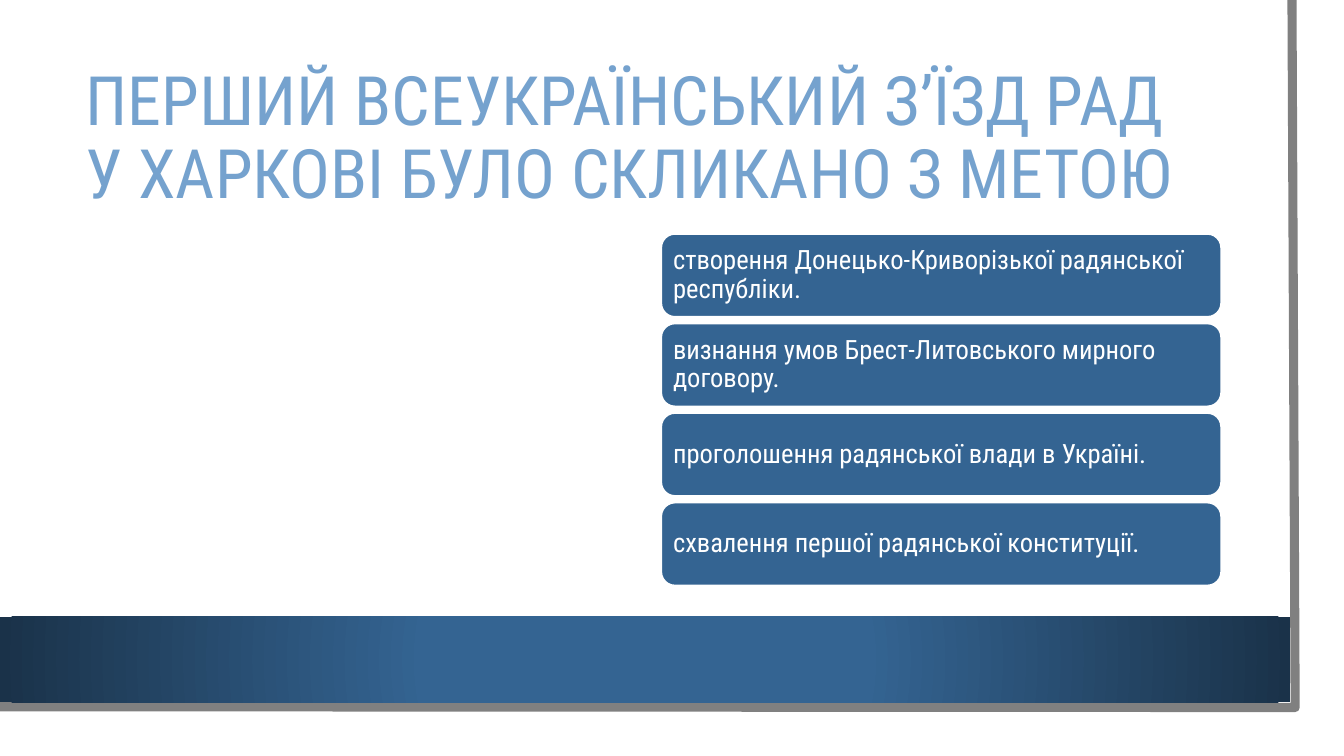
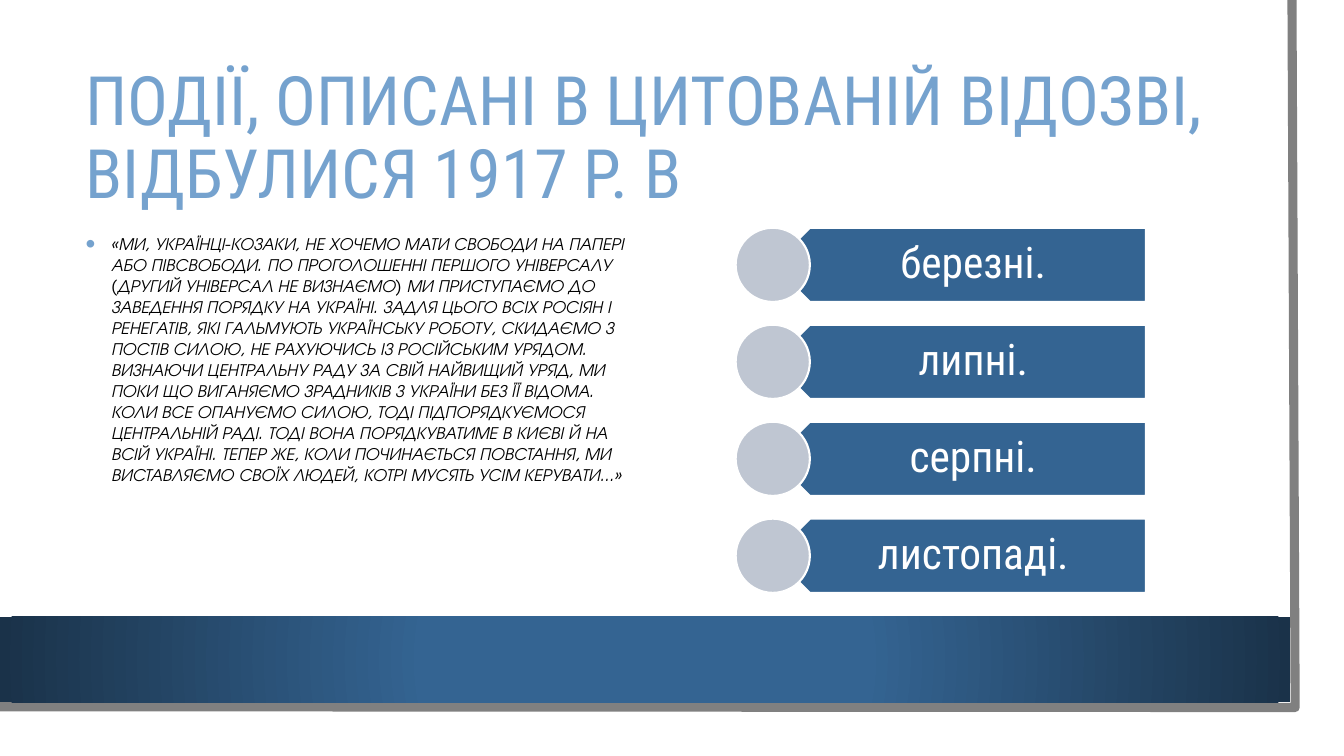
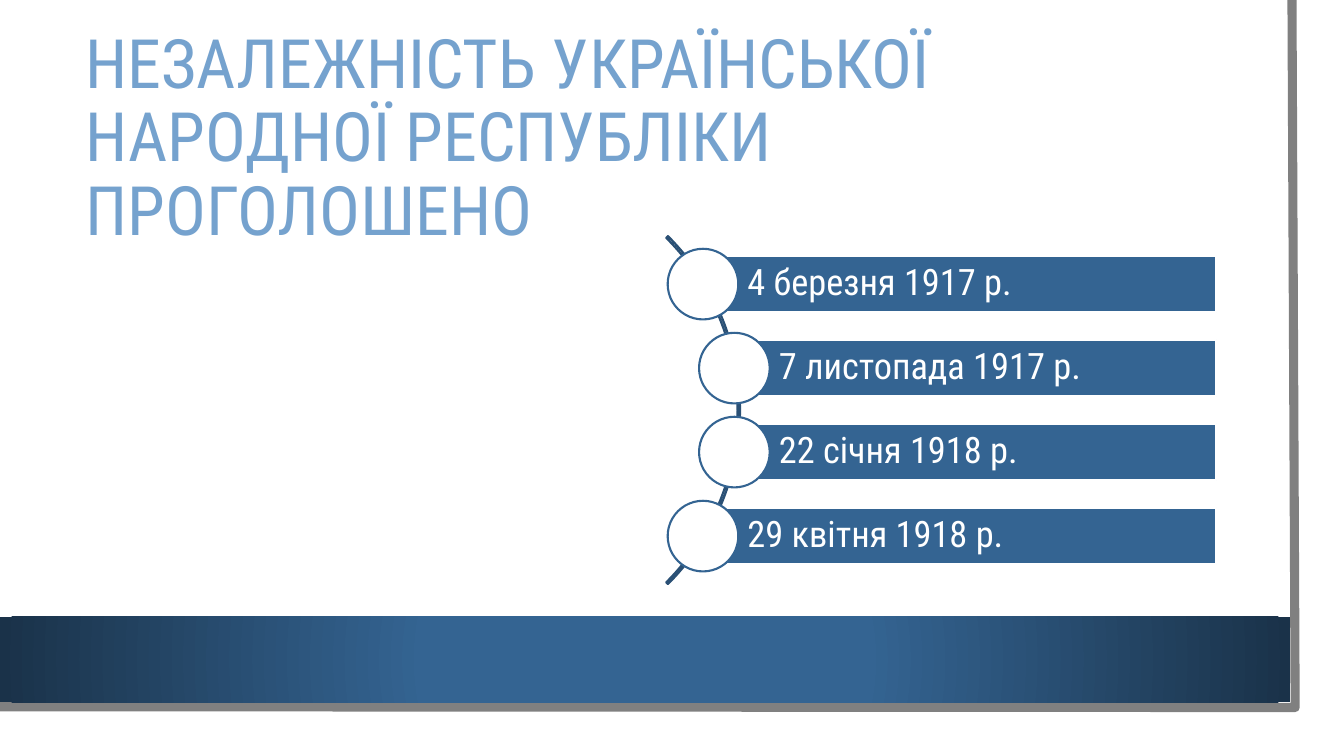
from math import sqrt

from lxml.etree import SubElement
from pptx import Presentation
from pptx.dml.color import RGBColor
from pptx.enum.shapes import MSO_SHAPE as Kind
from pptx.enum.text import MSO_ANCHOR as Anchor, PP_ALIGN as Align
from pptx.oxml import parse_xml
from pptx.oxml.ns import nsdecls, qn
from pptx.util import Cm, Pt

BLUE, DARK, NAVY = "346492", "1A3249", "2A5075"
SKY, PALE, GREY = "75A2CE", "BFC6D2", "808080"
WHITE, BLACK = "FFFFFF", "000000"
MAIN, QUOTE = "Roboto Condensed", "TeX Gyre Adventor"

TITLE = (1.91, 1.91, 28.88, 3.23)
BODY = (1.91, 5.74, 14.15, 9.19)

AIMS = [
    "створення Донецько-Криворізької радянської республіки.",
    "визнання умов Брест-Литовського мирного договору.",
    "проголошення радянської влади в Україні.",
    "схвалення першої радянської конституції.",
]
APPEAL = (
    "«МИ, УКРАЇНЦІ-КОЗАКИ, НЕ ХОЧЕМО МАТИ СВОБОДИ НА ПАПЕРІ АБО ПІВСВОБОДИ. "
    "ПО ПРОГОЛОШЕННІ ПЕРШОГО УНІВЕРСАЛУ (ДРУГИЙ УНІВЕРСАЛ НЕ ВИЗНАЄМО) "
    "МИ ПРИСТУПАЄМО ДО ЗАВЕДЕННЯ ПОРЯДКУ НА УКРАЇНІ. ЗАДЛЯ ЦЬОГО ВСІХ РОСІЯН "
    "І РЕНЕГАТІВ, ЯКІ ГАЛЬМУЮТЬ УКРАЇНСЬКУ РОБОТУ, СКИДАЄМО З ПОСТІВ СИЛОЮ, "
    "НЕ РАХУЮЧИСЬ ІЗ РОСІЙСЬКИМ УРЯДОМ. ВИЗНАЮЧИ ЦЕНТРАЛЬНУ РАДУ ЗА СВІЙ "
    "НАЙВИЩИЙ УРЯД, МИ ПОКИ ЩО ВИГАНЯЄМО ЗРАДНИКІВ З УКРАЇНИ БЕЗ ЇЇ ВІДОМА. "
    "КОЛИ ВСЕ ОПАНУЄМО СИЛОЮ, ТОДІ ПІДПОРЯДКУЄМОСЯ ЦЕНТРАЛЬНІЙ РАДІ. ТОДІ ВОНА "
    "ПОРЯДКУВАТИМЕ В КИЄВІ Й НА ВСІЙ УКРАЇНІ. ТЕПЕР ЖЕ, КОЛИ ПОЧИНАЄТЬСЯ "
    "ПОВСТАННЯ, МИ ВИСТАВЛЯЄМО СВОЇХ ЛЮДЕЙ, КОТРІ МУСЯТЬ УСІМ КЕРУВАТИ...»"
)
MONTHS = ["березні.", "липні.", "серпні.", "листопаді."]
DATES = ["4 березня 1917 р.", "7 листопада 1917 р.",
         "22 січня 1918 р.", "29 квітня 1918 р."]


def color(code):
    return RGBColor.from_string(code)


def paint(shape, fill=None, line=None, width=1.5):
    shape.shadow.inherit = False
    if fill:
        shape.fill.solid()
        shape.fill.fore_color.rgb = color(fill)
    else:
        shape.fill.background()
    if line:
        shape.line.color.rgb = color(line)
        shape.line.width = Pt(width)
    else:
        shape.line.fill.background()
    return shape


def draw(slide, kind, box, **look):
    shape = slide.shapes.add_shape(kind, *map(Cm, box))
    return paint(shape, **look)


def label(slide, box, text, **form):
    write(slide.shapes.add_textbox(*map(Cm, box)), text, **form)


def write(shape, text, size=19, font=MAIN, ink=WHITE, pad=(0.25, 0.13, 0.25, 0.13),
          align=Align.LEFT, anchor=Anchor.MIDDLE, lead=0.9, italic=False, dot=None):
    """Fill the shape with one paragraph; dot is the colour of its bullet."""
    frame = shape.text_frame
    frame.word_wrap = True
    frame.vertical_anchor = anchor
    (frame.margin_left, frame.margin_top,
     frame.margin_right, frame.margin_bottom) = map(Cm, pad)
    para = frame.paragraphs[0]
    para.text = text
    if dot:
        bullet(para, dot)
    para.alignment = align
    para.line_spacing = lead
    face = para.runs[0].font
    face.name, face.size, face.italic = font, Pt(size), italic
    face.color.rgb = color(ink)


def bullet(para, ink):
    props = para._p.get_or_add_pPr()
    props.set("marL", str(Cm(0.64)))
    props.set("indent", str(-Cm(0.64)))
    tint = SubElement(props, qn("a:buClr"))
    SubElement(tint, qn("a:srgbClr")).set("val", ink)
    SubElement(props, qn("a:buSzPct")).set("val", "160000")
    SubElement(props, qn("a:buFont")).set("typeface", "Arial")
    SubElement(props, qn("a:buChar")).set("char", "•")


def glow(shape, core, edge):
    """Give the shape a radial gradient from core to edge."""
    old = shape.fill._xPr.find(qn("a:solidFill"))
    new = parse_xml(
        f'<a:gradFill {nsdecls("a")} rotWithShape="1"><a:gsLst>'
        f'<a:gs pos="34000"><a:srgbClr val="{core}"/></a:gs>'
        f'<a:gs pos="100000"><a:srgbClr val="{edge}"/></a:gs></a:gsLst>'
        '<a:path path="circle"><a:fillToRect l="50000" t="50000" r="50000" b="50000"/>'
        '</a:path></a:gradFill>')
    old.getparent().replace(old, new)


def base(deck, title):
    """Add a slide with the sheet, its grey edge, the band and the title."""
    slide = deck.slides.add_slide(deck.slide_layouts[6])
    draw(slide, Kind.RECTANGLE, (0, 0, 33.27, 18.47), fill=WHITE)
    edge = slide.shapes.build_freeform(Cm(32.56), 0)
    edge.add_line_segments([(Cm(32.64), Cm(17.83)), (Cm(-0.08), Cm(17.81))], close=False)
    paint(edge.convert_to_shape(), line=GREY, width=6.5)
    band = draw(slide, Kind.RECTANGLE, (0, 15.54, 32.51, 2.16), fill=BLUE)
    glow(band, BLUE, DARK)
    label(slide, TITLE, title, size=48.6, ink=SKY)
    return slide


def rows(box, items, high):
    """Yield the top and text of each item, spread evenly down the box."""
    step = (box[3] - high) / (len(items) - 1)
    for i, item in enumerate(items):
        yield box[1] + i * step, item


def cards(slide, box, items, high=2.1):
    for top, item in rows(box, items, high):
        card = draw(slide, Kind.ROUNDED_RECTANGLE, (box[0], top, box[2], high),
                    fill=BLUE, line=WHITE)
        write(card, item, pad=(0.2, 0.2, 0.2, 0.2))


def plates(slide, box, items, high=1.87):
    left, _, wide, _ = box
    for top, item in rows(box, items, high):
        plate = draw(slide, Kind.PENTAGON, (left + high / 2, top, wide - high / 2, high),
                     fill=BLUE, line=WHITE)
        plate.rotation = 180
        label(slide, (left + high * 0.75, top, wide - high * 0.75, high), item,
              size=31, align=Align.CENTER, pad=(0.84, 0.33, 0.61, 0.33))
        draw(slide, Kind.OVAL, (left, top, high, high), fill=PALE, line=WHITE)


def arc(slide, box, items, disc=1.78, bar=1.42, size=12.4, orbit=6.15):
    """Hang bars with round markers on an arc that bulges to the right."""
    left, top, wide, high = box
    hub, mid = left - 4.36, top + high / 2
    curve = draw(slide, Kind.BLOCK_ARC, (hub - size / 2, mid - size / 2, size, size),
                 line=NAVY)
    for i, value in enumerate((189, 27, 0.005)):
        curve.adjustments[i] = value
    for y, item in rows(box, items, disc):
        x = hub + sqrt(orbit ** 2 - (y + disc / 2 - mid) ** 2)
        strip = draw(slide, Kind.RECTANGLE,
                     (x, y + (disc - bar) / 2, left + wide - x, bar),
                     fill=BLUE, line=WHITE)
        write(strip, item, size=26, pad=(1.12, 0.18, 0.18, 0.18))
        draw(slide, Kind.OVAL, (x - disc / 2, y, disc, disc), fill=WHITE, line=BLUE)


def main():
    deck = Presentation()
    deck.slide_width, deck.slide_height = Cm(33.87), Cm(19.05)

    slide = base(deck, "ПЕРШИЙ ВСЕУКРАЇНСЬКИЙ З’ЇЗД РАД У ХАРКОВІ БУЛО СКЛИКАНО З МЕТОЮ")
    cards(slide, (16.66, 5.89, 14.12, 8.87), AIMS)

    slide = base(deck, "ПОДІЇ, ОПИСАНІ В ЦИТОВАНІЙ ВІДОЗВІ, ВІДБУЛИСЯ 1917 Р. В")
    label(slide, BODY, APPEAL, size=12.5, font=QUOTE, ink=BLACK, italic=True,
          anchor=Anchor.TOP, lead=1.0, dot=SKY)
    plates(slide, (18.54, 5.74, 10.34, 9.2), MONTHS)

    slide = base(deck, "НЕЗАЛЕЖНІСТЬ УКРАЇНСЬКОЇ НАРОДНОЇ РЕСПУБЛІКИ ПРОГОЛОШЕНО")
    arc(slide, (16.81, 6.27, 13.84, 8.13), DATES)

    deck.save("out.pptx")


if __name__ == "__main__":
    main()
